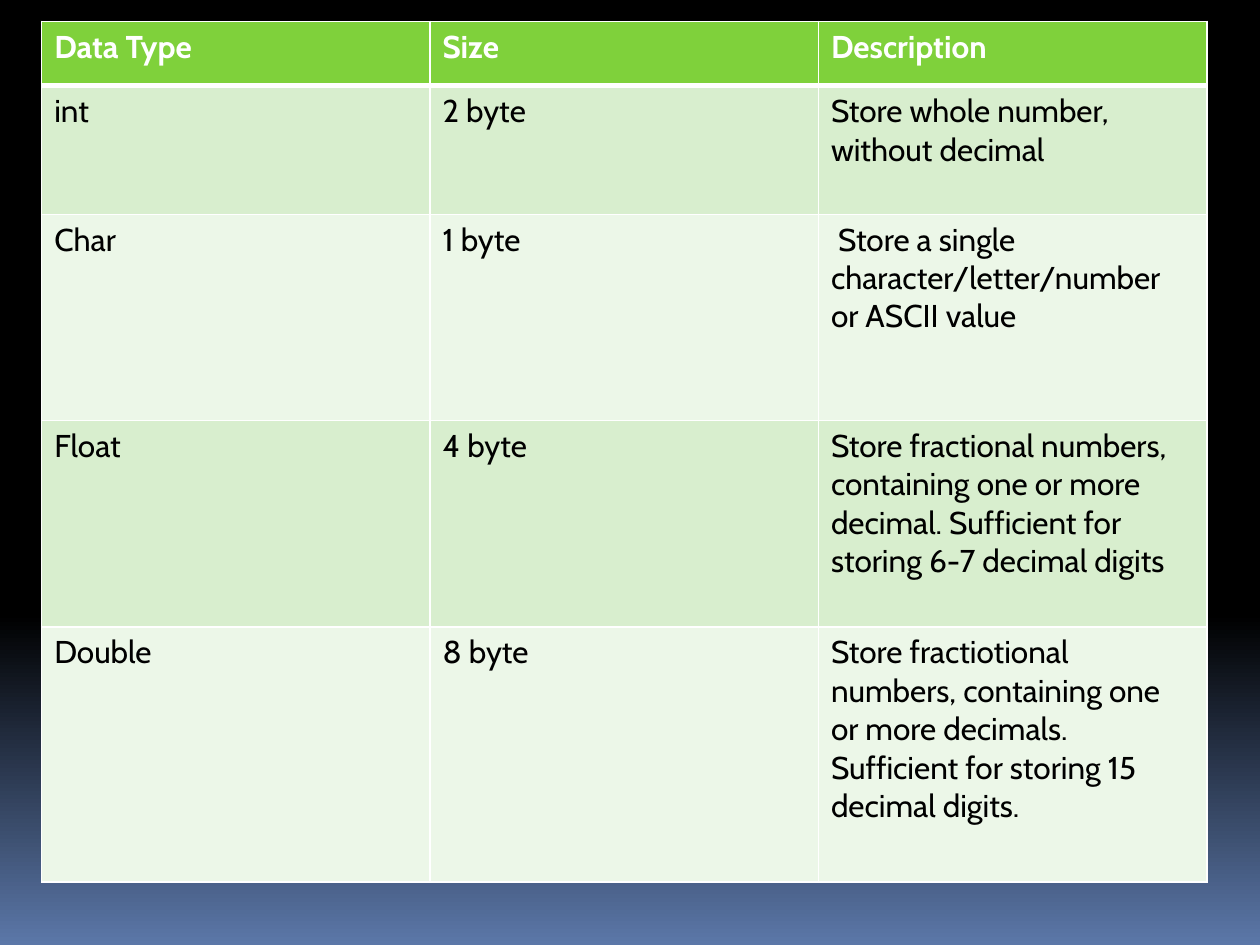
import copy

import pptx
import pptx.dml.color
import pptx.oxml
import pptx.oxml.ns
import pptx.util

Cm = pptx.util.Cm
FONT = "Cabin"
WHITE, BLACK = "FFFFFF", "000000"
HEADER_FILL = "7FD13B"
BAND_FILLS = ("D8EECE", "ECF7E8")
SKY = ((0, BLACK), (0.65, BLACK), (1, "5B77A8"))

ROW_HEIGHTS = (1.3, 2.59, 4.16, 4.16, 5.14)
DATA_TYPES = (
    ("Data Type", "Size", "Description"),
    ("int", "2 byte", "Store whole number, without decimal"),
    ("Char", "1 byte", " Store a single character/letter/number or ASCII value"),
    ("Float", "4 byte", "Store fractional numbers, containing one or more decimal. "
                        "Sufficient for storing 6-7 decimal digits"),
    ("Double", "8 byte", "Store fractiotional numbers, containing one or more decimals. "
                         "Sufficient for storing 15 decimal digits."),
)


def color(hex_code):
    """Turn a hex string into a colour."""
    return pptx.dml.color.RGBColor.from_string(hex_code)


def write_text(frame, text, size=18, ink=BLACK, bold=False):
    """Write one formatted paragraph into a text frame."""
    frame.word_wrap = True
    span = frame.paragraphs[0].add_run()
    span.text = text
    span.font.name = FONT
    span.font.size = pptx.util.Pt(size)
    span.font.bold = bold
    span.font.color.rgb = color(ink)


def draw_borders(cell, **widths):
    """Give a cell white borders; widths are points keyed by side L, R, T, B."""
    properties = cell._tc.get_or_add_tcPr()
    for side, width in widths.items():
        properties.append(pptx.oxml.parse_xml(
            f'<a:ln{side} {pptx.oxml.ns.nsdecls("a")} w="{pptx.util.Pt(width)}">'
            f'<a:solidFill><a:srgbClr val="{WHITE}"/></a:solidFill></a:ln{side}>'))


def paint_background(page, stops):
    """Fill the page with a gradient running from top to bottom."""
    fill = page.background.fill
    fill.gradient()
    fill.gradient_angle = 270
    stop_list = page._element.find(".//" + pptx.oxml.ns.qn("a:gsLst"))
    while len(stop_list) < len(stops):
        stop_list.append(copy.deepcopy(stop_list[-1]))
    for stop, (position, hex_code) in zip(fill.gradient_stops, stops):
        stop.position = position
        stop.color.rgb = color(hex_code)


def add_type_table(page, rows, heights, left, top, width):
    """Place the banded table of data types in the given box (centimetres)."""
    column_count = len(rows[0])
    table = page.shapes.add_table(len(rows), column_count, Cm(left), Cm(top),
                                  Cm(width), Cm(sum(heights))).table
    for column in table.columns:
        column.width = Cm(width / column_count)
    for index, (texts, height) in enumerate(zip(rows, heights)):
        table.rows[index].height = Cm(height)
        header = index == 0
        fill_color = HEADER_FILL if header else BAND_FILLS[(index - 1) % 2]
        for cell, text in zip(table.rows[index].cells, texts):
            draw_borders(cell, L=1, R=1, T=3 if index == 1 else 1, B=3 if header else 1)
            cell.fill.solid()
            cell.fill.fore_color.rgb = color(fill_color)
            write_text(cell.text_frame, text, ink=WHITE if header else BLACK, bold=header)


def main():
    """Build the deck and save it."""
    deck = pptx.Presentation()
    deck.slide_width, deck.slide_height = Cm(25.4), Cm(19.05)
    page = deck.slides.add_slide(deck.slide_layouts[6])
    paint_background(page, SKY)
    add_type_table(page, DATA_TYPES, ROW_HEIGHTS, left=0.84, top=0.43, width=23.49)
    deck.save("out.pptx")


main()
